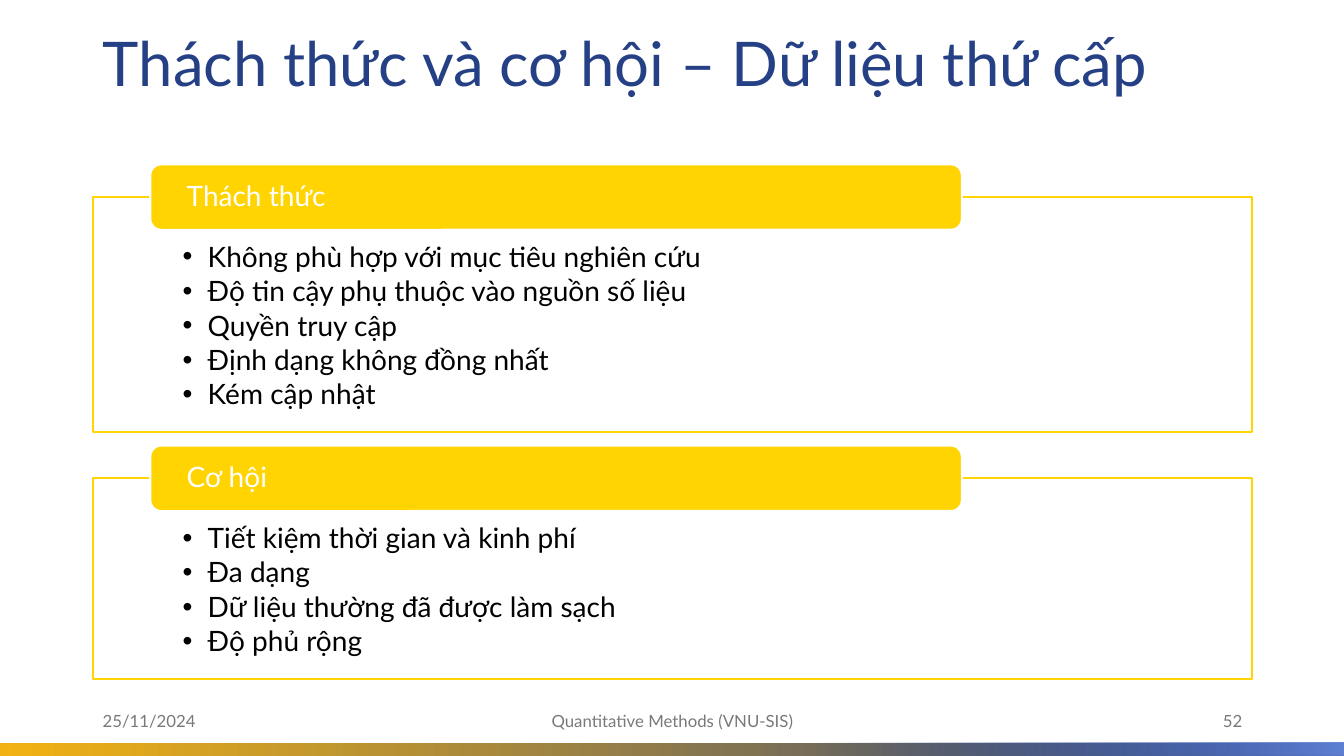
"""Builds the slide on challenges and opportunities of secondary data."""
from dataclasses import dataclass

from lxml.etree import SubElement
from pptx import Presentation
from pptx.dml.color import RGBColor as RGB
from pptx.enum.shapes import MSO_SHAPE as Shape
from pptx.enum.text import MSO_ANCHOR as Anchor, MSO_AUTO_SIZE as AutoSize, PP_ALIGN as Align
from pptx.oxml.ns import qn
from pptx.util import Inches, Pt


@dataclass(frozen=True)
class Theme:
    font: str = "Lato"
    blue: str = "254085"
    light_blue: str = "5F80D3"
    gold: str = "F2B213"
    yellow: str = "FFD400"
    white: str = "FFFFFF"
    black: str = "000000"
    grey: str = "797979"
    title_size: int = 44
    text_size: int = 20
    footer_size: int = 12
    line_width: float = 1.5


def set_values(target, values):
    for name, value in values.items():
        setattr(target, name, value)


def set_opacity(shape, percent):
    color = next(shape.element.iter(qn("a:srgbClr")))
    SubElement(color, qn("a:alpha"), val=str(percent * 1000))


class SlideBuilder:
    def __init__(self, slide, theme):
        self.slide = slide
        self.theme = theme

    def place(self, shape, *box):
        names = ("left", "top", "width", "height")
        set_values(shape, dict(zip(names, map(Inches, box))))

    def paint(self, shape, fill, line):
        shape.fill.solid()
        shape.fill.fore_color.rgb = RGB.from_string(fill)
        shape.line.color.rgb = RGB.from_string(line)
        shape.line.width = Pt(self.theme.line_width)

    def add_text(self, shape, lines, size, color, frame_format=None, **paragraph_format):
        frame = shape.text_frame
        set_values(frame, {"word_wrap": True, "auto_size": AutoSize.NONE,
                           "vertical_anchor": Anchor.MIDDLE, **(frame_format or {})})
        for index, line in enumerate(lines):
            paragraph = frame.add_paragraph() if index else frame.paragraphs[0]
            set_values(paragraph, {"alignment": Align.LEFT, "space_before": Pt(0),
                                   **paragraph_format})
            run = paragraph.add_run()
            run.text = line
            set_values(run.font, {"name": self.theme.font, "size": Pt(size)})
            run.font.color.rgb = RGB.from_string(color)
        return frame.paragraphs

    def strip(self, left, width, start, end, start_position=0.0):
        shape = self.slide.shapes.add_shape(
            Shape.RECTANGLE, Inches(left), Inches(7.37), Inches(width), Inches(0.13))
        shape.shadow.inherit = False
        shape.line.fill.background()
        shape.fill.gradient()
        shape.fill.gradient_angle = 0
        stops = zip(shape.fill.gradient_stops, (start, end), (start_position, 1.0))
        for stop, color, position in stops:
            stop.color.rgb = RGB.from_string(color)
            stop.position = position
        return shape

    def title(self, text):
        shape = self.slide.shapes.title
        self.place(shape, 0.92, 0.15, 11.5, 1.02)
        self.add_text(shape, [text], self.theme.title_size, self.theme.blue, line_spacing=0.9)

    def panel(self, placeholder, top, height, heading, items):
        theme = self.theme
        self.place(placeholder, 0.92, top, 11.5, height)
        self.paint(placeholder, theme.white, theme.yellow)
        set_opacity(placeholder, 90)
        margins = {"margin_left": Inches(0.89), "margin_right": Inches(0.89),
                   "margin_top": Inches(0.46), "margin_bottom": Inches(0.16),
                   "vertical_anchor": Anchor.TOP}
        paragraphs = self.add_text(placeholder, items, theme.text_size, theme.black, margins,
                                   line_spacing=0.9, space_after=Pt(3))
        for paragraph in paragraphs:
            properties = paragraph._p.get_or_add_pPr()
            properties.set("marL", str(Inches(0.25)))
            properties.set("indent", str(Inches(-0.25)))
            SubElement(properties, qn("a:buFont"), typeface="Arial")
            SubElement(properties, qn("a:buChar"), char="•")

        header = self.slide.shapes.add_shape(
            Shape.ROUNDED_RECTANGLE, Inches(1.49), Inches(top - 0.32), Inches(8.05), Inches(0.65))
        header.shadow.inherit = False
        self.paint(header, theme.yellow, theme.white)
        margins = {"margin_left": Inches(0.33), "margin_right": Inches(0.33),
                   "margin_top": 0, "margin_bottom": 0}
        self.add_text(header, [heading], theme.text_size, theme.white, margins, line_spacing=0.9)

    def footer(self, left, width, text, alignment):
        shape = self.slide.shapes.add_textbox(
            Inches(left), Inches(6.95), Inches(width), Inches(0.4))
        self.add_text(shape, [text], self.theme.footer_size, self.theme.grey, alignment=alignment)


def main():
    presentation = Presentation()
    set_values(presentation, {"slide_width": Inches(13.33), "slide_height": Inches(7.5)})
    slide = presentation.slides.add_slide(presentation.slide_layouts[3])
    theme = Theme()
    builder = SlideBuilder(slide, theme)

    builder.strip(0, 13.33, theme.gold, theme.blue)
    overlay = builder.strip(6.85, 6.48, theme.blue, theme.light_blue, 0.19)
    set_opacity(overlay, 0)

    builder.title("Thách thức và cơ hội – Dữ liệu thứ cấp")
    builder.panel(slide.placeholders[1], 1.95, 2.34, "Thách thức", [
        "Không phù hợp với mục tiêu nghiên cứu",
        "Độ tin cậy phụ thuộc vào nguồn số liệu",
        "Quyền truy cập",
        "Định dạng không đồng nhất",
        "Kém cập nhật",
    ])
    builder.panel(slide.placeholders[2], 4.74, 2, "Cơ hội", [
        "Tiết kiệm thời gian và kinh phí",
        "Đa dạng",
        "Dữ liệu thường đã được làm sạch",
        "Độ phủ rộng",
    ])
    builder.footer(0.92, 3, "25/11/2024", Align.LEFT)
    builder.footer(4.42, 4.5, "Quantitative Methods (VNU-SIS)", Align.CENTER)
    builder.footer(9.42, 3, "52", Align.RIGHT)
    presentation.save("out.pptx")


if __name__ == "__main__":
    main()
